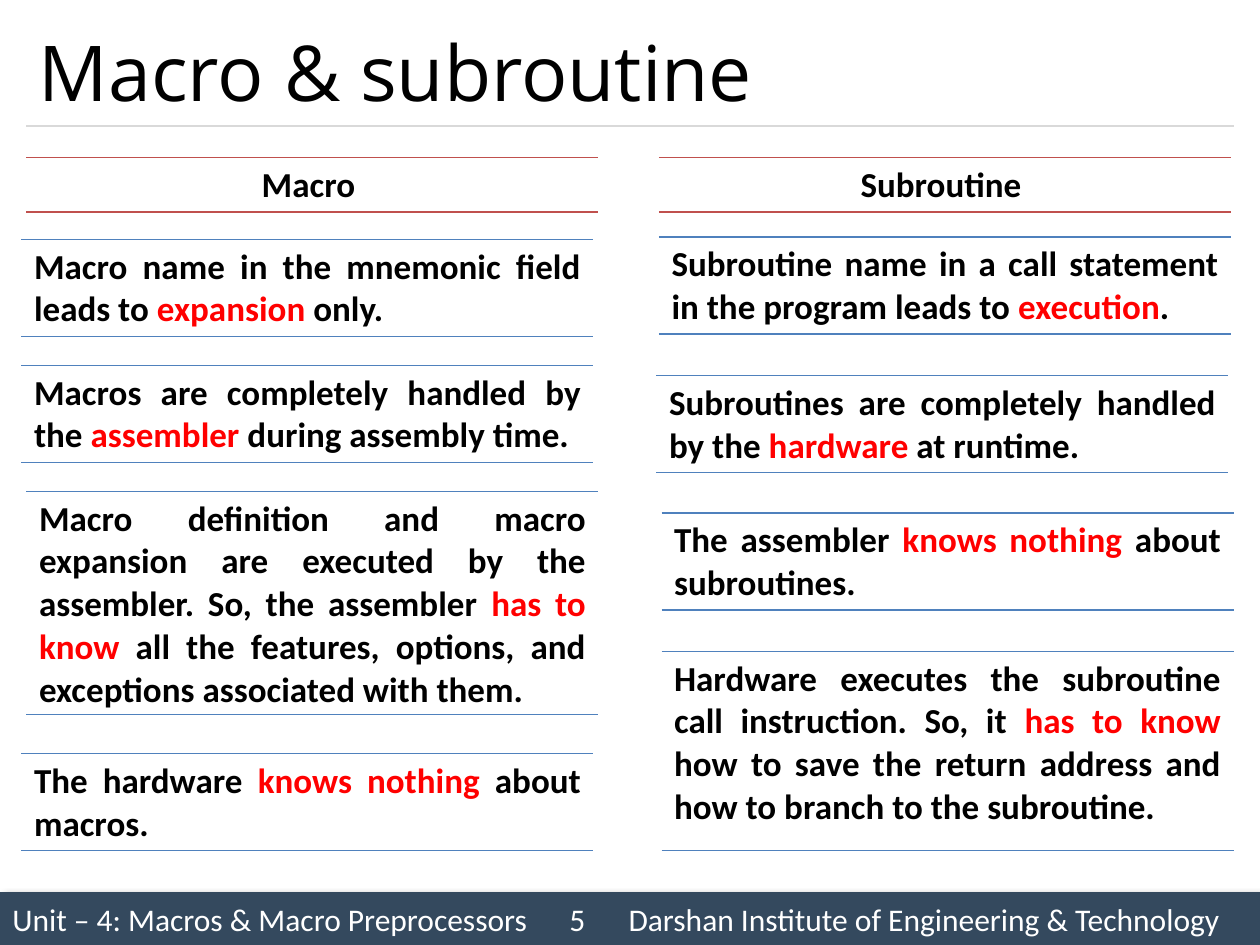
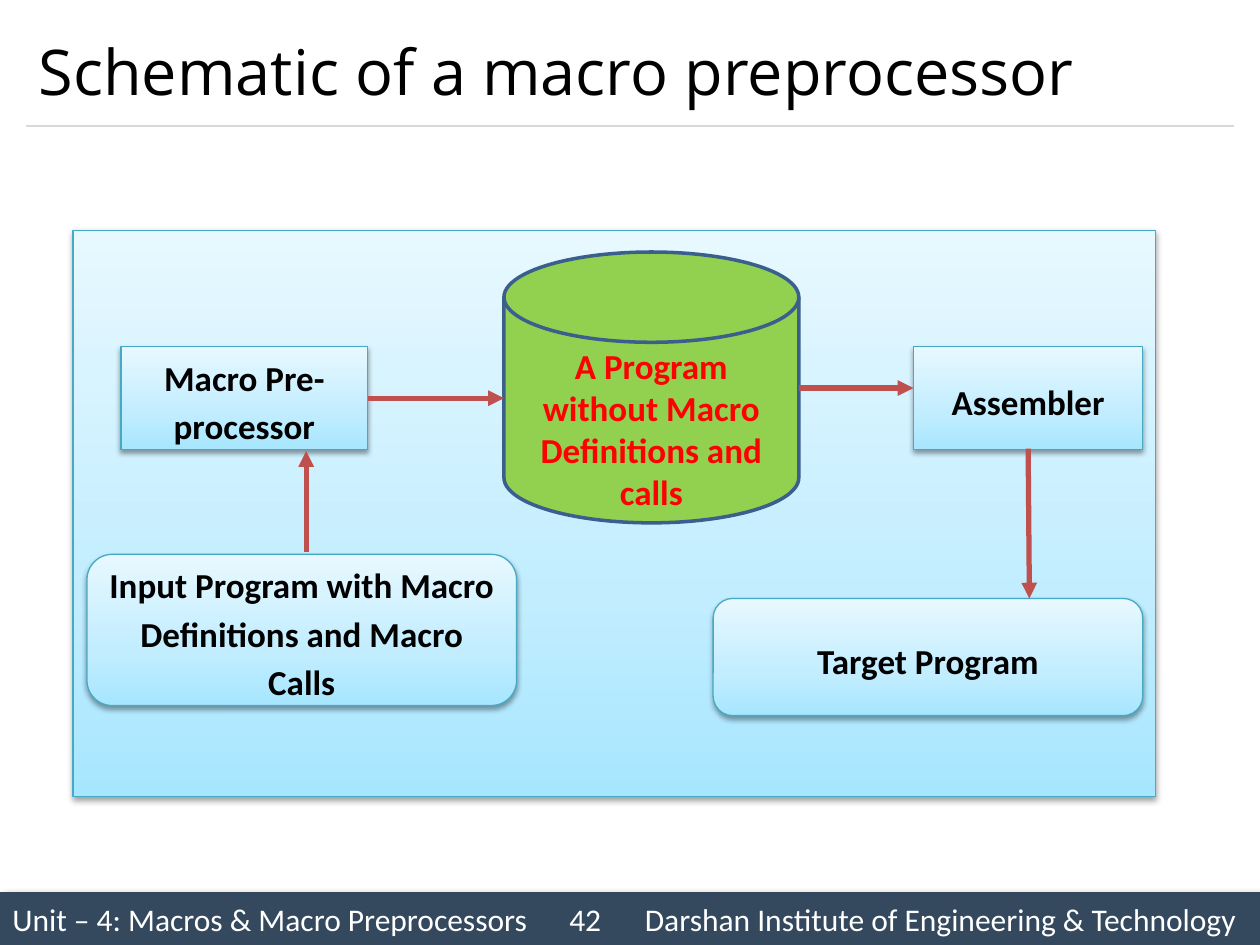
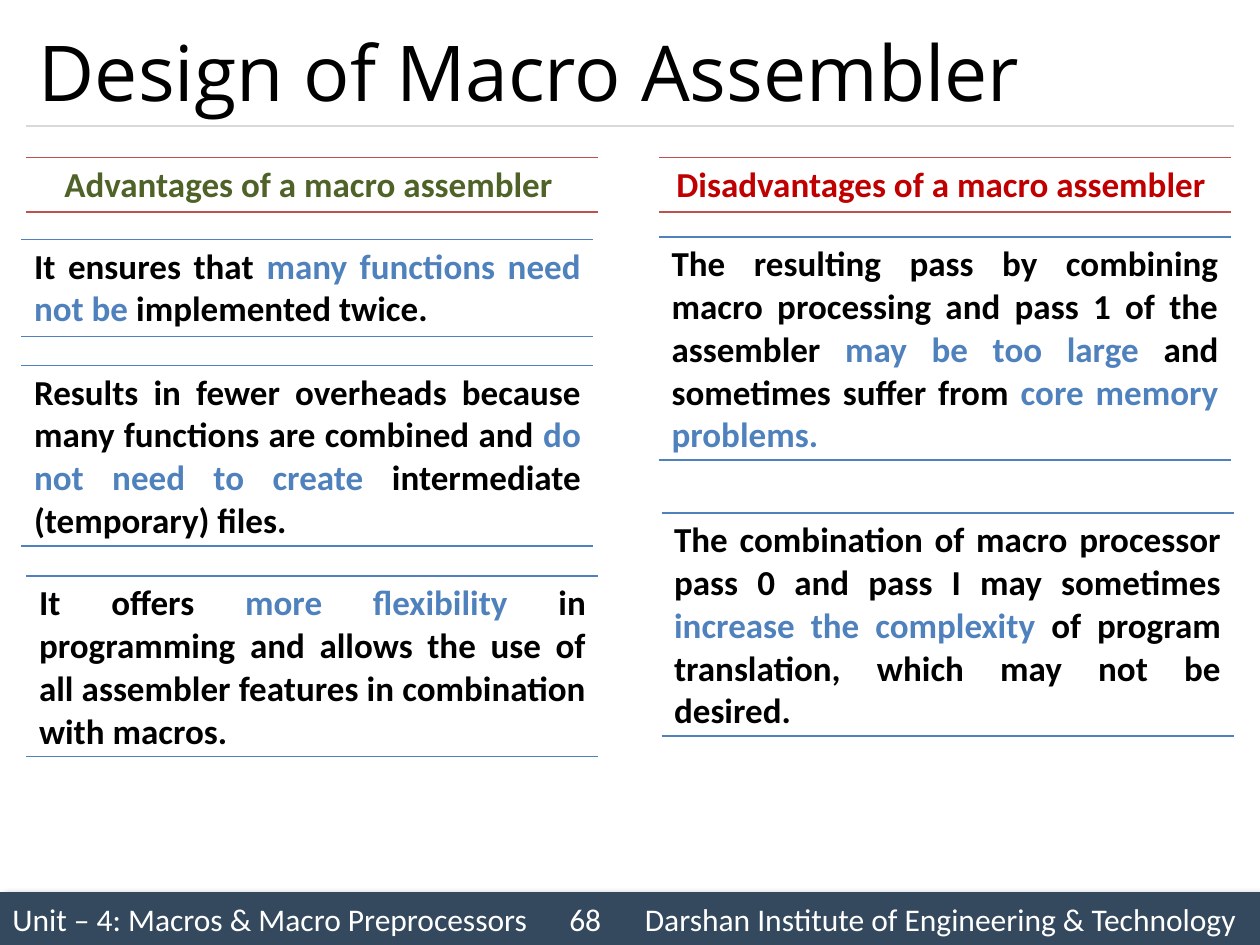
from copy import deepcopy

from pptx import Presentation
from pptx.dml.color import RGBColor
from pptx.enum.shapes import MSO_CONNECTOR, MSO_SHAPE
from pptx.enum.text import MSO_ANCHOR, PP_ALIGN
from pptx.oxml import parse_xml
from pptx.oxml.ns import nsdecls, qn
from pptx.util import Inches, Pt

BLACK = RGBColor(0x00, 0x00, 0x00)
WHITE = RGBColor(0xFF, 0xFF, 0xFF)
NAVY = RGBColor(0x34, 0x49, 0x5E)
RULE_GREY = RGBColor(0xD9, 0xD9, 0xD9)
BRICK = RGBColor(0xC0, 0x50, 0x4D)
BLUE = RGBColor(0x4F, 0x81, 0xBD)
RED = RGBColor(0xFF, 0x00, 0x00)
DARK_RED = RGBColor(0xC0, 0x00, 0x00)
OLIVE = RGBColor(0x4F, 0x62, 0x28)
LIME = RGBColor(0x92, 0xD0, 0x50)
DISK_EDGE = RGBColor(0x3A, 0x5F, 0x8C)
AQUA_EDGE = RGBColor(0x46, 0xAA, 0xC5)
AQUA_STOPS = [(0, RGBColor(0xA7, 0xE6, 0xFF)), (0.35, RGBColor(0xC1, 0xED, 0xFF)),
              (1, RGBColor(0xE7, 0xF8, 0xFF))]

BODY_FONT, TITLE_FONT = "Calibri", "Open Sans"
UNIT = "Unit – 4: Macros & Macro Preprocessors"
INSTITUTE = "Darshan Institute of Engineering & Technology"
MARGIN = 0.21
COLUMN_LEFTS = (MARGIN, 5.23)
COLUMN_WIDTH = 4.54

# Each statement: left, top, height, then text pieces that alternate plain and highlighted.
COMPARISONS = {
    "subroutine": {
        "title": "Macro & subroutine", "number": 5, "highlight": RED,
        "headings": [("Macro ", BLACK), ("Subroutine ", BLACK)],
        "statements": [
            (0.17, 1.9, 0.77, ("Macro name in the mnemonic field leads to ", "expansion ", "only.")),
            (0.17, 2.9, 0.77, ("Macros are completely handled by the ", "assembler",
                               " during assembly time.")),
            (0.21, 3.9, 1.77, ("Macro definition and macro expansion are executed by the assembler. "
                               "So, the assembler ", "has to know",
                               " all the features, options, and exceptions associated with them.")),
            (0.17, 5.98, 0.77, ("The hardware ", "knows nothing ", "about macros.")),
            (5.23, 1.88, 0.77, ("Subroutine name in a call statement in the program leads to ",
                                "execution", ".")),
            (5.21, 2.98, 0.77, ("Subroutines are completely handled by the ", "hardware",
                                " at runtime.")),
            (5.25, 4.07, 0.77, ("The assembler ", "knows nothing", " about subroutines.")),
            (5.25, 5.17, 1.58, ("Hardware executes the subroutine call instruction. So, it ",
                                "has to know ",
                                "how to save the return address and how to branch to the "
                                "subroutine.")),
        ],
    },
    "assembler": {
        "title": "Design of Macro Assembler", "number": 68, "highlight": BLUE,
        "headings": [("Advantages of a macro assembler ", OLIVE),
                     ("Disadvantages of a macro assembler ", DARK_RED)],
        "statements": [
            (0.17, 1.9, 0.77, ("It ensures that ", "many functions need not be",
                               " implemented twice.")),
            (0.17, 2.9, 1.43, ("Results in fewer overheads because many functions are combined and ",
                               "do not need to create ", "intermediate (temporary) files.")),
            (0.21, 4.57, 1.43, ("It offers ", "more flexibility ",
                                "in programming and allows the use of all assembler features in "
                                "combination with macros.")),
            (5.23, 1.88, 1.77, ("The resulting pass by combining macro processing and pass 1 of the "
                                "assembler ", "may be too large ", "and sometimes suffer from ",
                                "core memory problems.")),
            (5.25, 4.07, 1.77, ("The combination of macro processor pass 0 and pass I may sometimes ",
                                "increase the complexity ",
                                "of program translation, which may not be desired.")),
        ],
    },
}

SCHEMATIC_PANEL = (0.58, 1.83, 8.59, 4.49)
SCHEMATIC_STEPS = [
    ("Macro Pre-processor", MSO_SHAPE.RECTANGLE, (0.96, 2.75, 1.96, 0.82)),
    ("Assembler", MSO_SHAPE.RECTANGLE, (7.25, 2.75, 1.82, 0.82)),
    ("Target Program", MSO_SHAPE.ROUNDED_RECTANGLE, (5.66, 4.75, 3.41, 0.93)),
    ("Input Program with Macro Definitions and Macro Calls", MSO_SHAPE.ROUNDED_RECTANGLE,
     (0.69, 4.4, 3.41, 1.2)),
]
EXPANDED_PROGRAM = "A Program without Macro Definitions and calls"
SCHEMATIC_ARROWS = [(2.92, 3.16, 4, 3.16), (6.34, 3.08, 7.25, 3.08),
                    (2.43, 4.38, 2.43, 3.58), (8.16, 3.56, 8.17, 4.75)]


def style_font(font, size, color, name=BODY_FONT, bold=False):
    font.size, font.name, font.bold = Pt(size), name, bold
    font.color.rgb = color


def add_box(slide, kind, place, edge=None, edge_width=0.75):
    box = slide.shapes.add_shape(kind, *map(Inches, place))
    box.shadow.inherit = False
    if edge is None:
        box.line.fill.background()
    else:
        box.line.color.rgb = edge
        box.line.width = Pt(edge_width)
    return box


def cast_shadow(box, opacity, blur, distance, angle):
    box.element.spPr.find(qn("a:effectLst")).append(parse_xml(
        f'<a:outerShdw {nsdecls("a")} blurRad="{Pt(blur)}" dist="{Pt(distance)}" '
        f'dir="{angle * 60000}" rotWithShape="0"><a:srgbClr val="{BLACK}">'
        f'<a:alpha val="{opacity * 1000}"/></a:srgbClr></a:outerShdw>'))


def add_line(slide, ends, color, width, arrow=False):
    line = slide.shapes.add_connector(MSO_CONNECTOR.STRAIGHT, *map(Inches, ends))
    line.line.color.rgb = color
    line.line.width = Pt(width)
    properties = line.element.spPr
    if arrow:
        properties.find(qn("a:ln")).append(parse_xml(f'<a:tailEnd {nsdecls("a")} type="triangle"/>'))
    properties.append(parse_xml(f'<a:effectLst {nsdecls("a")}/>'))


def add_footer(slide, number):
    band = add_box(slide, MSO_SHAPE.RECTANGLE, (0, 7.08, 10, 0.42))
    band.fill.solid()
    band.fill.fore_color.rgb = NAVY
    cast_shadow(band, 40, 4, 3, 45)
    frame = band.text_frame
    frame.margin_right = 0
    frame.vertical_anchor = MSO_ANCHOR.MIDDLE
    frame.text = f"{UNIT}\t{number}\t{INSTITUTE}"
    paragraph = frame.paragraphs[0]
    paragraph.alignment = PP_ALIGN.LEFT
    digit_width = 0.13
    stops = (4.42, 4.76 + digit_width * len(str(number)))
    tabs = "".join(f'<a:tab pos="{Inches(stop)}" algn="l"/>' for stop in stops)
    paragraph._p.get_or_add_pPr().append(
        parse_xml(f'<a:tabLst {nsdecls("a")}>{tabs}</a:tabLst>'))
    for run in paragraph.runs:
        style_font(run.font, 18, WHITE)


def add_slide(deck, title, number, title_size=44):
    """Add a slide with the shared footer, rule and title."""
    slide = deck.slides.add_slide(deck.slide_layouts[6])
    add_footer(slide, number)
    add_line(slide, (MARGIN, 1, 10 - MARGIN, 1), RULE_GREY, 0.75)
    heading = slide.shapes.add_textbox(*map(Inches, (MARGIN, 0.12, 10 - 2 * MARGIN, 0.88)))
    frame = heading.text_frame
    frame.word_wrap = True
    frame.vertical_anchor = MSO_ANCHOR.MIDDLE
    frame.text = title
    style_font(frame.paragraphs[0].runs[0].font, title_size, BLACK, TITLE_FONT)
    return slide


def add_ruled_cell(slide, left, top, height, pieces, rule, alignment):
    """Add a one-cell table ruled above and below; pieces are (text, colour) pairs."""
    table = slide.shapes.add_table(
        1, 1, *map(Inches, (left, top, COLUMN_WIDTH, height))).table
    table.first_row = table.horz_banding = False
    cell = table.cell(0, 0)
    properties = cell._tc.get_or_add_tcPr()
    solid = f'<a:solidFill><a:srgbClr val="{rule}"/></a:solidFill>'
    for side, fill in zip("LRTB", ("<a:noFill/>", "<a:noFill/>", solid, solid)):
        properties.append(parse_xml(f'<a:ln{side} {nsdecls("a")} w="{Pt(1)}">{fill}</a:ln{side}>'))
    cell.fill.background()
    paragraph = cell.text_frame.paragraphs[0]
    paragraph.alignment = alignment
    for text, color in pieces:
        run = paragraph.add_run()
        run.text = text
        style_font(run.font, 20, color, bold=True)


def add_comparison(deck, content):
    slide = add_slide(deck, content["title"], content["number"])
    for left, heading in zip(COLUMN_LEFTS, content["headings"]):
        add_ruled_cell(slide, left, 1.25, 0.43, [heading], BRICK, PP_ALIGN.CENTER)
    colors = (BLACK, content["highlight"])
    for left, top, height, texts in content["statements"]:
        pieces = [(text, colors[i % 2]) for i, text in enumerate(texts)]
        add_ruled_cell(slide, left, top, height, pieces, BLUE, PP_ALIGN.JUSTIFY)


def add_aqua_box(slide, kind, place):
    box = add_box(slide, kind, place, AQUA_EDGE)
    box.fill.gradient()
    box.fill.gradient_angle = 90
    stops = box.element.spPr.find(qn("a:gradFill")).find(qn("a:gsLst"))
    stops.append(deepcopy(stops[-1]))
    for stop, (position, color) in zip(box.fill.gradient_stops, AQUA_STOPS):
        stop.position = position
        stop.color.rgb = color
    cast_shadow(box, 38, 3.1, 1.6, 90)
    return box


def label_box(box, text, color, line_spacing=1.0):
    frame = box.text_frame
    frame.word_wrap = True
    frame.vertical_anchor = MSO_ANCHOR.MIDDLE
    frame.text = text
    paragraph = frame.paragraphs[0]
    paragraph.alignment = PP_ALIGN.CENTER
    paragraph.line_spacing = line_spacing
    style_font(paragraph.runs[0].font, 20, color, bold=True)
    return frame


def add_schematic(deck):
    slide = add_slide(deck, "Schematic of a macro preprocessor", 42, title_size=36)
    add_aqua_box(slide, MSO_SHAPE.RECTANGLE, SCHEMATIC_PANEL)
    for text, kind, place in SCHEMATIC_STEPS:
        frame = label_box(add_aqua_box(slide, kind, place), text, BLACK, 1.15)
        frame.margin_left = frame.margin_right = Inches(0.08)
        frame.margin_top = frame.margin_bottom = Inches(0.04)
    disk = add_box(slide, MSO_SHAPE.FLOWCHART_MAGNETIC_DISK, (4, 2, 2.34, 2.15), DISK_EDGE, 2)
    disk.fill.solid()
    disk.fill.fore_color.rgb = LIME
    label_box(disk, EXPANDED_PROGRAM, RED).margin_top = Inches(0.35)
    for ends in SCHEMATIC_ARROWS:
        add_line(slide, ends, BRICK, 3, arrow=True)


def main():
    deck = Presentation()
    deck.slide_width, deck.slide_height = Inches(10), Inches(7.5)
    add_comparison(deck, COMPARISONS["subroutine"])
    add_schematic(deck)
    add_comparison(deck, COMPARISONS["assembler"])
    deck.save("out.pptx")


if __name__ == "__main__":
    main()
